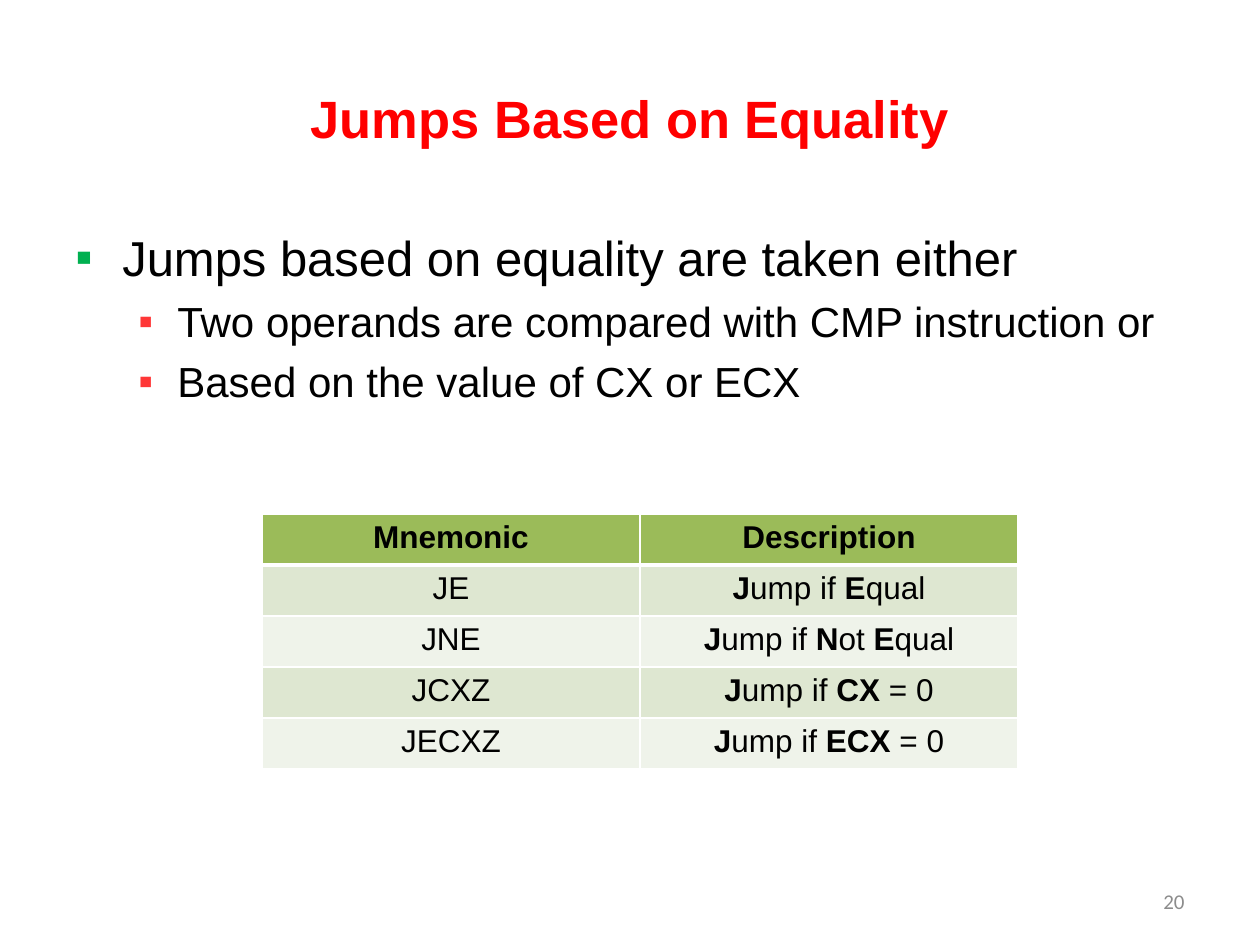
from dataclasses import dataclass

from lxml import etree
from pptx import Presentation
from pptx import util as u
from pptx.dml.color import RGBColor
from pptx.enum import text
from pptx.oxml.ns import qn

PX = 914400 / 126
BLACK, WHITE = "000000", "FFFFFF"


@dataclass
class Style:
    size: int
    color: str = BLACK
    face: str = "Arial"
    bold: bool = False
    align: text.PP_ALIGN = text.PP_ALIGN.LEFT


@dataclass
class Bullet:
    words: str
    level: int
    size: int
    color: str
    margin: int
    hang: int
    before: float


def px(length: int) -> int:
    return u.Emu(round(length * PX))


def rgb(color: str) -> RGBColor:
    return RGBColor.from_string(color)


def apply_style(paragraph, style: Style) -> None:
    paragraph.alignment = style.align
    font = paragraph.font
    font.size, font.name, font.bold = u.Pt(style.size), style.face, style.bold
    font.color.rgb = rgb(style.color)


def add_box(slide, left: int, top: int, width: int, height: int, anchor):
    frame = slide.shapes.add_textbox(px(left), px(top), px(width), px(height)).text_frame
    frame.word_wrap = True
    frame.vertical_anchor = anchor
    return frame


def add_line(frame, words: str, style: Style) -> None:
    paragraph = frame.paragraphs[0]
    paragraph.add_run().text = words
    apply_style(paragraph, style)


def add_bullet(paragraph, bullet: Bullet) -> None:
    paragraph.add_run().text = bullet.words
    paragraph.level = bullet.level
    props = paragraph._p.get_or_add_pPr()
    props.set("marL", str(px(bullet.margin)))
    props.set("indent", str(px(-bullet.hang)))
    tint = etree.SubElement(props, qn("a:buClr"))
    etree.SubElement(tint, qn("a:srgbClr"), val=bullet.color)
    etree.SubElement(props, qn("a:buFont"), typeface="Arial")
    etree.SubElement(props, qn("a:buChar"), char="▪")
    paragraph.space_before = u.Pt(bullet.before)
    apply_style(paragraph, Style(bullet.size))


def add_borders(cell, top: int, bottom: int) -> None:
    props = cell._tc.get_or_add_tcPr()
    for side, points in (("lnL", 1), ("lnR", 1), ("lnT", top), ("lnB", bottom)):
        line = etree.SubElement(props, qn(f"a:{side}"), w=str(u.Pt(points)))
        fill = etree.SubElement(line, qn("a:solidFill"))
        etree.SubElement(fill, qn("a:srgbClr"), val=WHITE)


def fill_cell(cell, words: str, row: int) -> None:
    """Write words, where asterisks enclose the bold parts."""
    header = row == 0
    paragraph = cell.text_frame.paragraphs[0]
    for part, piece in enumerate(words.split("*")):
        if piece:
            run = paragraph.add_run()
            run.text = piece
            if "*" in words:
                run.font.bold = part % 2 == 1
    apply_style(paragraph, Style(18, bold=header, align=text.PP_ALIGN.CENTER))
    add_borders(cell, top=3 if row == 1 else 1, bottom=3 if header else 1)
    cell.fill.solid()
    band = "DEE7D1" if row % 2 else "EFF3EA"
    cell.fill.fore_color.rgb = rgb("9BBB59" if header else band)


BULLETS = [
    Bullet("Jumps based on equality are taken either", 0, 28, "00B050", 47, 47, 6.4),
    Bullet("Two operands are compared with CMP instruction or", 1, 24, "FF3737", 102, 39, 5.5),
    Bullet("Based on the value of CX or ECX", 1, 24, "FF3737", 102, 39, 5.5),
]

JUMPS = [
    ("Mnemonic", "Description"),
    ("JE", "*J*ump if *E*qual"),
    ("JNE", "*J*ump if *N*ot *E*qual"),
    ("JCXZ", "*J*ump if *CX* = 0"),
    ("JECXZ", "*J*ump if *ECX* = 0"),
]
COLUMN, ROW = 378, 51


def main() -> None:
    deck = Presentation()
    deck.slide_width, deck.slide_height = px(1260), px(945)
    slide = deck.slides.add_slide(deck.slide_layouts[6])

    # Title
    title = add_box(slide, 63, 38, 1134, 158, text.MSO_ANCHOR.MIDDLE)
    add_line(title, "Jumps Based on Equality",
             Style(30, "FF0000", bold=True, align=text.PP_ALIGN.CENTER))

    # Bullets
    body = add_box(slide, 63, 221, 1134, 624, text.MSO_ANCHOR.TOP)
    for index, bullet in enumerate(BULLETS):
        add_bullet(body.add_paragraph() if index else body.paragraphs[0], bullet)

    # Slide number
    number = add_box(slide, 903, 876, 294, 50, text.MSO_ANCHOR.MIDDLE)
    add_line(number, "20", Style(12, "8C8C8C", "Calibri", align=text.PP_ALIGN.RIGHT))

    # Table of jump instructions
    jumps = slide.shapes.add_table(len(JUMPS), 2, px(262), px(514),
                                   px(2 * COLUMN), px(len(JUMPS) * ROW)).table
    for column in jumps.columns:
        column.width = px(COLUMN)
    for row, entries in enumerate(JUMPS):
        jumps.rows[row].height = px(ROW)
        for column, words in enumerate(entries):
            fill_cell(jumps.cell(row, column), words, row)

    deck.save("out.pptx")


if __name__ == "__main__":
    main()
